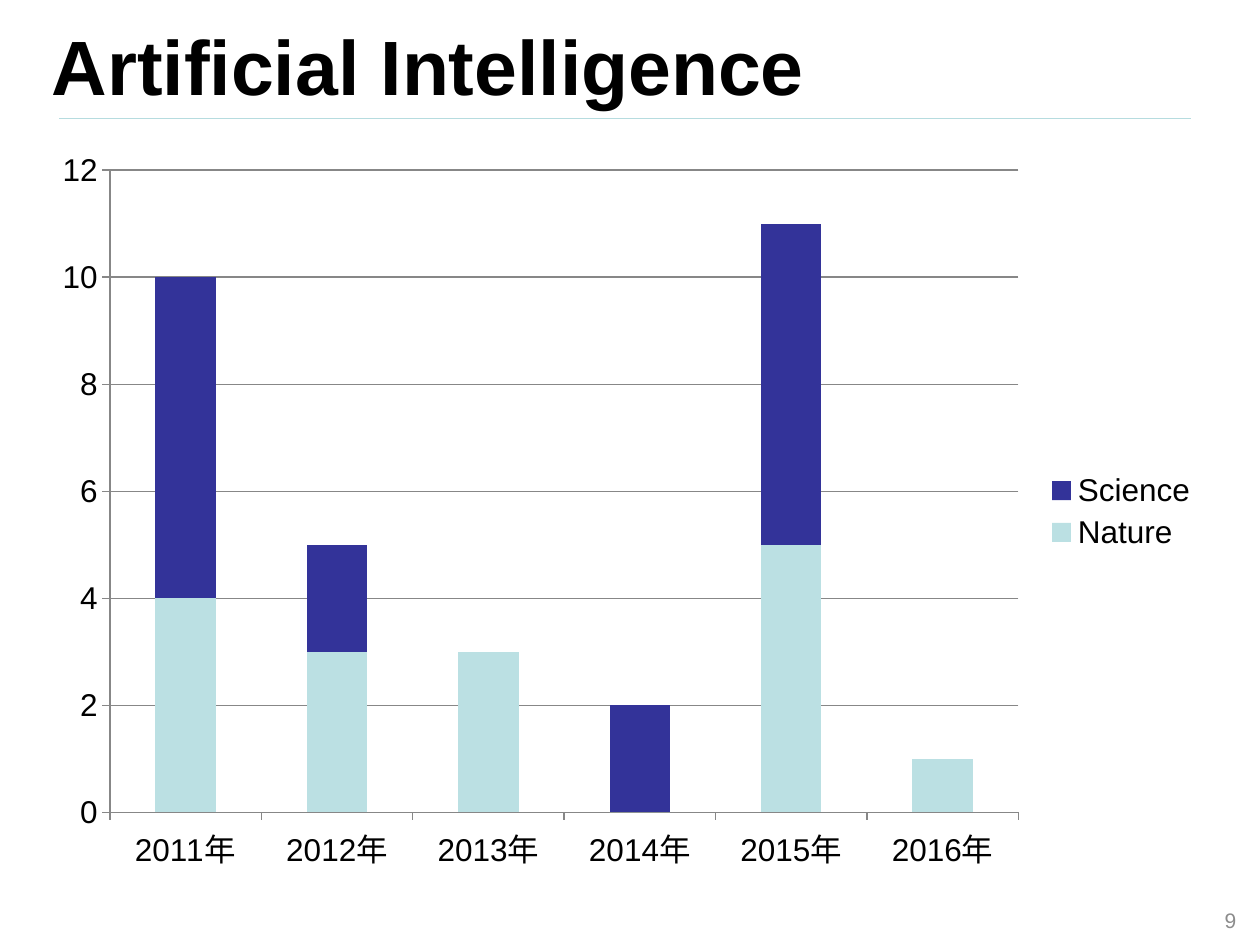
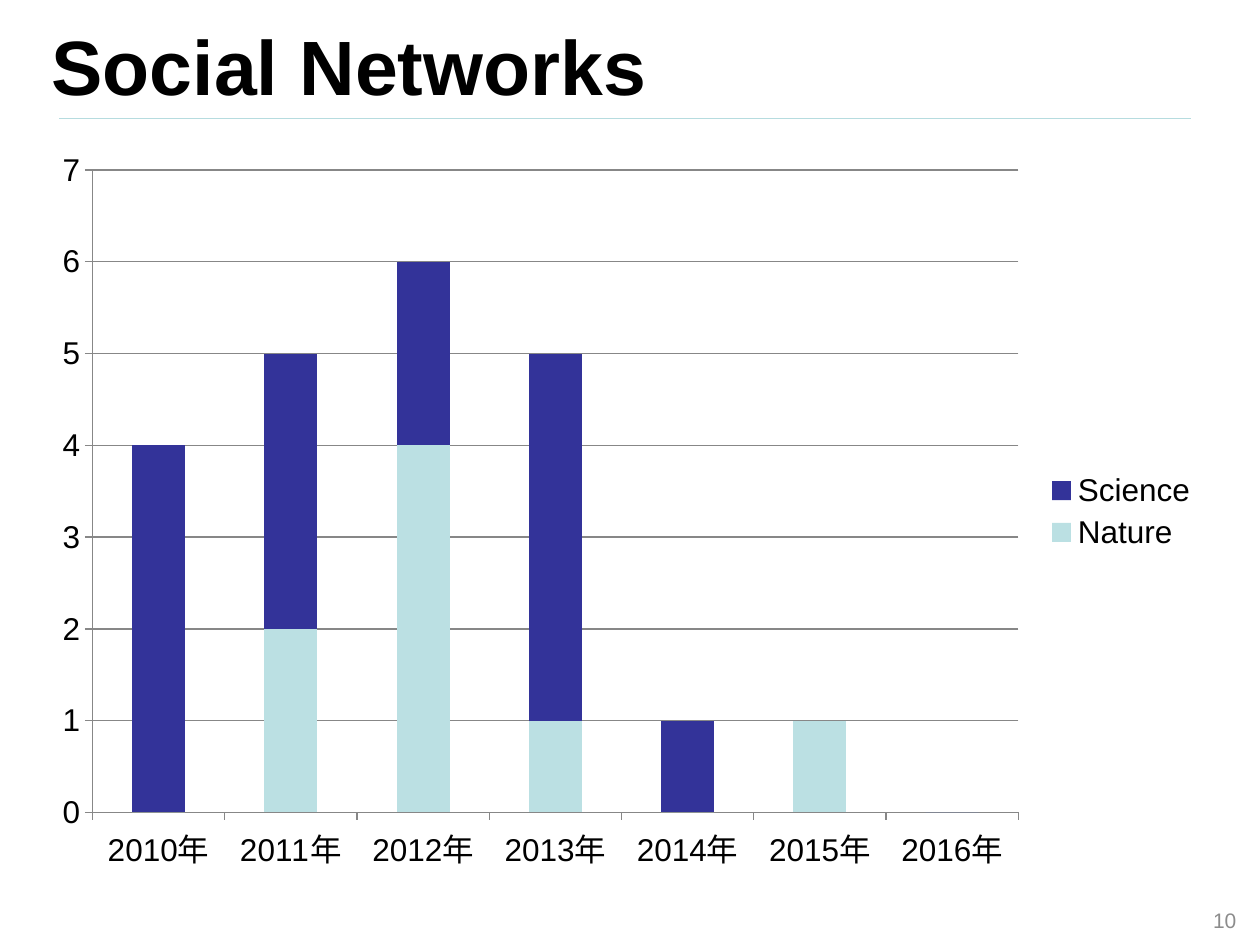
from lxml.etree import SubElement
from pptx import Presentation
from pptx.chart.data import CategoryChartData as Data
from pptx.dml.color import RGBColor as RGB
from pptx.enum.chart import XL_CHART_TYPE as Kind, XL_LEGEND_POSITION as Spot
from pptx.enum.chart import XL_TICK_MARK as Tick
from pptx.enum.shapes import MSO_CONNECTOR as Link
from pptx.enum.text import MSO_ANCHOR as Anchor, MSO_AUTO_SIZE as Fit, PP_ALIGN as Align
from pptx.oxml.ns import qn
from pptx.util import Pt

# Content: title, first year, papers per year in each journal
TOPICS = [
    ("Artificial Intelligence", 2011,
     {"Nature": (4, 3, 3, 0, 5, 1), "Science": (6, 2, 0, 2, 6, 0)}),
    ("Social Networks", 2010,
     {"Nature": (0, 2, 4, 1, 0, 1, 0), "Science": (4, 3, 2, 4, 1, 0, 0)}),
]
FIRST = 9  # page number of the first slide

# Shared look
HEX = {"ink": "000000", "rule": "B6DCDF", "page": "8C8C8C", "axis": "878787",
       "Nature": "BBE0E3", "Science": "333399"}
FONTS = {
    "title": {"name": "Arial", "size": Pt(44), "bold": True},
    "page": {"name": "Arial", "size": Pt(12), "bold": False},
    "chart": {"name": "Arial", "size": Pt(18), "bold": False},
}
BOXES = {"title": (22.3, 5.8, 658, 62.6), "page": (545.8, 511.2, 167.8, 28.8),
         "chart": (22.3, 78.5, 669.6, 427.7)}
RULE = (33.8, 67.7, 680.4, 67.7)


def color(name):
    return RGB.from_string(HEX[name])


def place(name):
    return [Pt(n) for n in BOXES[name]]


def style(font, name, ink):
    for key, val in FONTS[name].items():
        setattr(font, key, val)
    font.color.rgb = color(ink)


def write(shape, text, name, ink, align):
    frame = shape.text_frame
    frame.text = text
    for key, val in {"word_wrap": True, "auto_size": Fit.NONE,
                     "vertical_anchor": Anchor.MIDDLE}.items():
        setattr(frame, key, val)
    line = frame.paragraphs[0]
    line.alignment = align
    style(line.runs[0].font, name, ink)


def add_frame(slide, title, page):
    # Rule under the title
    rule = slide.shapes.add_connector(Link.STRAIGHT, *[Pt(n) for n in RULE])
    rule.line.color.rgb = color("rule")
    rule.line.width = Pt(0.75)
    SubElement(rule._element.spPr, qn("a:effectLst"))
    # Title and page number
    head = slide.shapes.title
    head.left, head.top, head.width, head.height = place("title")
    write(head, title, "title", "ink", Align.LEFT)
    foot = slide.shapes.add_textbox(*place("page"))
    write(foot, str(page), "page", "page", Align.RIGHT)


def add_bars(slide, start, counts):
    data = Data()
    span = len(counts["Nature"])
    data.categories = [f"{start + n}年" for n in range(span)]
    for name, vals in counts.items():
        data.add_series(name, vals)
    chart = slide.shapes.add_chart(
        Kind.COLUMN_STACKED, *place("chart"), data).chart
    style(chart.font, "chart", "ink")
    chart.has_title = False
    chart.has_legend = True
    chart.legend.position = Spot.RIGHT
    chart.legend.include_in_layout = False

    # Bars
    plot = chart.plots[0]
    plot.gap_width, plot.overlap = 150, 100
    plot.vary_by_categories = False
    for bar in plot.series:
        bar.format.fill.solid()
        bar.format.fill.fore_color.rgb = color(bar.name)

    # Axes and grid
    grid = chart.value_axis.major_gridlines
    for part in (chart.category_axis, chart.value_axis, grid):
        part.format.line.color.rgb = color("axis")
        part.format.line.width = Pt(0.75)
    for axis in (chart.category_axis, chart.value_axis):
        axis.major_tick_mark = Tick.OUTSIDE
        axis.minor_tick_mark = Tick.NONE


def main():
    deck = Presentation()
    deck.slide_width, deck.slide_height = Pt(720), Pt(540)
    for page, (title, start, counts) in enumerate(TOPICS, FIRST):
        slide = deck.slides.add_slide(deck.slide_layouts[5])
        add_frame(slide, title, page)
        add_bars(slide, start, counts)
    deck.save("out.pptx")


if __name__ == "__main__":
    main()
